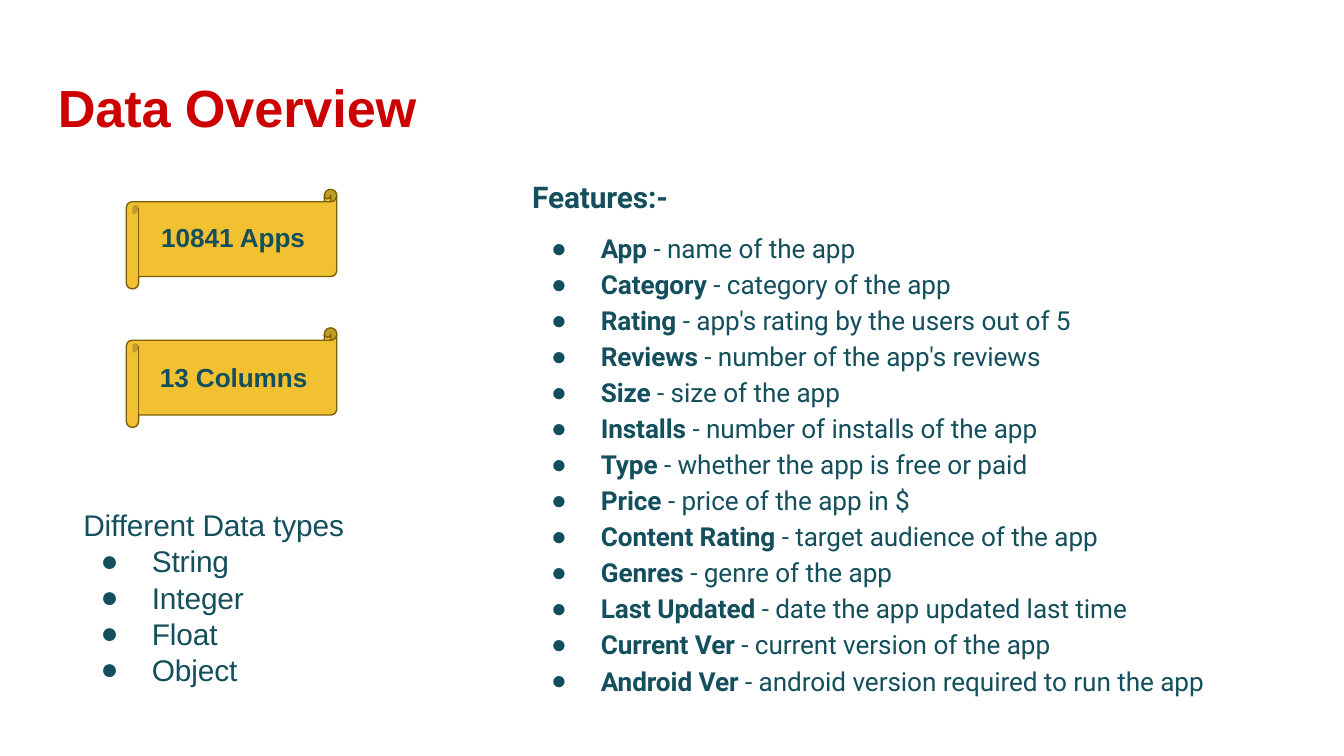
import math
from dataclasses import dataclass

from lxml import etree
from pptx import Presentation
from pptx import util as u
from pptx.dml.color import RGBColor
from pptx.enum import shapes, text
from pptx.oxml import ns


@dataclass(frozen=True)
class Theme:
    title: str = "CC0000"
    ink: str = "134F5C"
    gold: str = "F1C131"
    fold: str = "C09B27"
    outline: str = "7F6000"
    sans: str = "Arial"
    feature_font: str = "Roboto"
    title_size: int = 28
    heading_size: int = 16
    body_size: int = 14
    tracking: int = -5
    line_width: float = 0.75
    line_pitch: float = 19.3
    feature_gap: float = 2.5


FEATURES = [
    ("App", "name of the app"),
    ("Category", "category of the app"),
    ("Rating", "app's rating by the users out of 5"),
    ("Reviews", "number of the app's reviews"),
    ("Size", "size of the app"),
    ("Installs", "number of installs of the app"),
    ("Type", "whether the app is free or paid"),
    ("Price", "price of the app in $"),
    ("Content Rating", "target audience of the app"),
    ("Genres", "genre of the app"),
    ("Last Updated", "date the app updated last time"),
    ("Current Ver", "current version of the app"),
    ("Android Ver", "android version required to run the app"),
]
DATA_TYPES = ["String", "Integer", "Float", "Object"]


def arc(center_x, center_y, radius, start, end):
    angles = [math.radians(angle) for angle in range(start, end + 15, 15)]
    return [(center_x + radius * math.cos(a), center_y + radius * math.sin(a)) for a in angles]


class SlideBuilder:
    def __init__(self, slide, theme):
        self.slide = slide
        self.theme = theme

    def place(self, shape, left, top, width, height, inset_top=0.01):
        shape.left, shape.top = u.Inches(left), u.Inches(top)
        shape.width, shape.height = u.Inches(width), u.Inches(height)
        frame = shape.text_frame
        frame.margin_left = frame.margin_right = frame.margin_bottom = 0
        frame.margin_top = u.Inches(inset_top)
        frame.word_wrap = True
        frame.vertical_anchor = text.MSO_ANCHOR.TOP
        frame.auto_size = text.MSO_AUTO_SIZE.SHAPE_TO_FIT_TEXT
        return frame

    def indent(self, paragraph, left, hanging=0):
        properties = paragraph._p.get_or_add_pPr()
        properties.set("marL", str(u.Inches(left)))
        properties.set("indent", str(-u.Inches(hanging)))
        return properties

    def add_run(self, paragraph, words, size, color, font, bold=False):
        run = paragraph.add_run()
        run.text = words
        run.font.size = u.Pt(size)
        run.font.name = font
        run.font.bold = bold
        run.font.color.rgb = RGBColor.from_string(color)
        run.font._element.set("spc", str(self.theme.tracking))

    def title(self, words, *box):
        paragraph = self.place(self.slide.shapes.title, *box).paragraphs[0]
        self.indent(paragraph, 0.01)
        paragraph.alignment = text.PP_ALIGN.LEFT
        self.add_run(paragraph, words, self.theme.title_size, self.theme.title, self.theme.sans, True)

    def label(self, words, box, size, font, bold=False):
        frame = self.place(self.slide.shapes.add_textbox(0, 0, 0, 0), *box)
        paragraph = frame.paragraphs[0]
        self.indent(paragraph, 0.01)
        self.add_run(paragraph, words, size, self.theme.ink, font, bold)

    def bullets(self, frame, items, indent, hanging, size, font, gap=0):
        for index, item in enumerate(items):
            paragraph = frame.paragraphs[0] if index == 0 else frame.add_paragraph()
            properties = self.indent(paragraph, indent, hanging)
            etree.SubElement(properties, ns.qn("a:buFont")).set("typeface", self.theme.sans)
            etree.SubElement(properties, ns.qn("a:buChar")).set("char", "●")
            paragraph.alignment = text.PP_ALIGN.LEFT
            paragraph.line_spacing = u.Pt(self.theme.line_pitch - gap)
            paragraph.space_before = u.Pt(gap if index else 0)
            for words, bold in item:
                self.add_run(paragraph, words, size, self.theme.ink, font, bold)

    def text_list(self, items, *box):
        frame = self.place(self.slide.shapes.add_textbox(0, 0, 0, 0), *box)
        self.bullets(frame, [[(item, False)] for item in items], 0.4, 0.38,
                     self.theme.heading_size, self.theme.sans)

    def feature_list(self, features, *box):
        frame = self.place(self.slide.placeholders[1], *box, inset_top=0.05)
        items = [[(f"{name} ", True), (f"- {meaning}", False)] for name, meaning in features]
        self.bullets(frame, items, 3.45, 0.37, self.theme.body_size,
                     self.theme.feature_font, self.theme.feature_gap)

    def outline_shape(self, group, left, top, contours, fill=None):
        first, *rest = contours
        builder = group.shapes.build_freeform(*first[0][0], scale=u.Inches(1) / 1000)
        builder.add_line_segments(first[0][1:], close=first[1])
        for points, closed in rest:
            builder.move_to(*points[0])
            builder.add_line_segments(points[1:], close=closed)
        shape = builder.convert_to_shape(u.Inches(left), u.Inches(top))
        shape.shadow.inherit = False
        if fill:
            shape.fill.solid()
            shape.fill.fore_color.rgb = RGBColor.from_string(fill)
            shape.line.fill.background()
        else:
            shape.fill.background()
            self.stroke(shape.line)

    def stroke(self, line):
        line.color.rgb = RGBColor.from_string(self.theme.outline)
        line.width = u.Pt(self.theme.line_width)

    def banner(self, left, top, caption, caption_box):
        width, height, radius = 1566, 740, 46
        curl_x, inner_x = width - radius, width - 1.5 * radius
        curl_left = width - 2 * radius
        sheet_top, sheet_bottom = 2 * radius, height - 2 * radius
        corner = arc(radius, 3 * radius, radius, 180, 270)
        lower = (arc(curl_x, height - 3 * radius, radius, 0, 90)
                 + [(2 * radius, sheet_bottom)]
                 + arc(radius, height - radius, radius, 0, 180))
        dome = arc(curl_x, radius, radius, 180, 360)
        inner = arc(inner_x, radius, radius / 2, 0, 180)
        back = arc(curl_x, radius, radius, 0, 90)
        fold = ([(radius, 4 * radius)]
                + arc(1.5 * radius, 3 * radius, radius / 2, 180, 360)
                + arc(radius, 3 * radius, radius, 0, 90))
        face = corner + [(curl_left, sheet_top), (curl_left, radius), (width, radius)] + lower
        edge = corner + [(curl_left, sheet_top)] + dome + lower

        group = self.slide.shapes.add_group_shape()
        self.outline_shape(group, left, top, [(face, True)], self.theme.gold)
        self.outline_shape(group, left, top, [
            (fold, True), (dome + inner, True), ([(curl_x, radius)] + back, True),
        ], self.theme.fold)
        self.outline_shape(group, left, top, [
            (edge, True),
            ([(curl_left, sheet_top)] + back[::-1], False),
            ([(curl_x, sheet_top)] + inner, False),
        ])
        seam_x = u.Inches(left + 2 * radius / 1000)
        seam = group.shapes.add_connector(
            shapes.MSO_CONNECTOR.STRAIGHT,
            seam_x, u.Inches(top + 3 * radius / 1000),
            seam_x, u.Inches(top + sheet_bottom / 1000))
        self.stroke(seam.line)
        etree.SubElement(seam._element.spPr, ns.qn("a:effectLst"))
        self.label(caption, caption_box, self.theme.body_size, self.theme.sans, True)


def main():
    presentation = Presentation()
    presentation.slide_width = u.Inches(10)
    presentation.slide_height = presentation.slide_width * 9 // 16
    theme = Theme()
    slide = presentation.slides.add_slide(presentation.slide_layouts[1])
    builder = SlideBuilder(slide, theme)
    builder.title("Data Overview", 0.42, 0.55, 2.7, 0.49)
    builder.banner(0.94, 1.41, "10841 Apps", (1.19, 1.64, 1.1, 0.26))
    builder.banner(0.94, 2.44, "13 Columns", (1.18, 2.68, 1.13, 0.26))
    builder.label("Different Data types", (0.61, 3.76, 1.98, 0.29), theme.heading_size, theme.sans)
    builder.text_list(DATA_TYPES, 0.73, 4.03, 1.1, 1.09)
    builder.label("Features:-", (3.95, 1.32, 1.05, 0.29), theme.heading_size, theme.feature_font, True)
    builder.feature_list(FEATURES, 1.02, 1.68, 7.97, 3.52)
    presentation.save("out.pptx")


if __name__ == "__main__":
    main()
